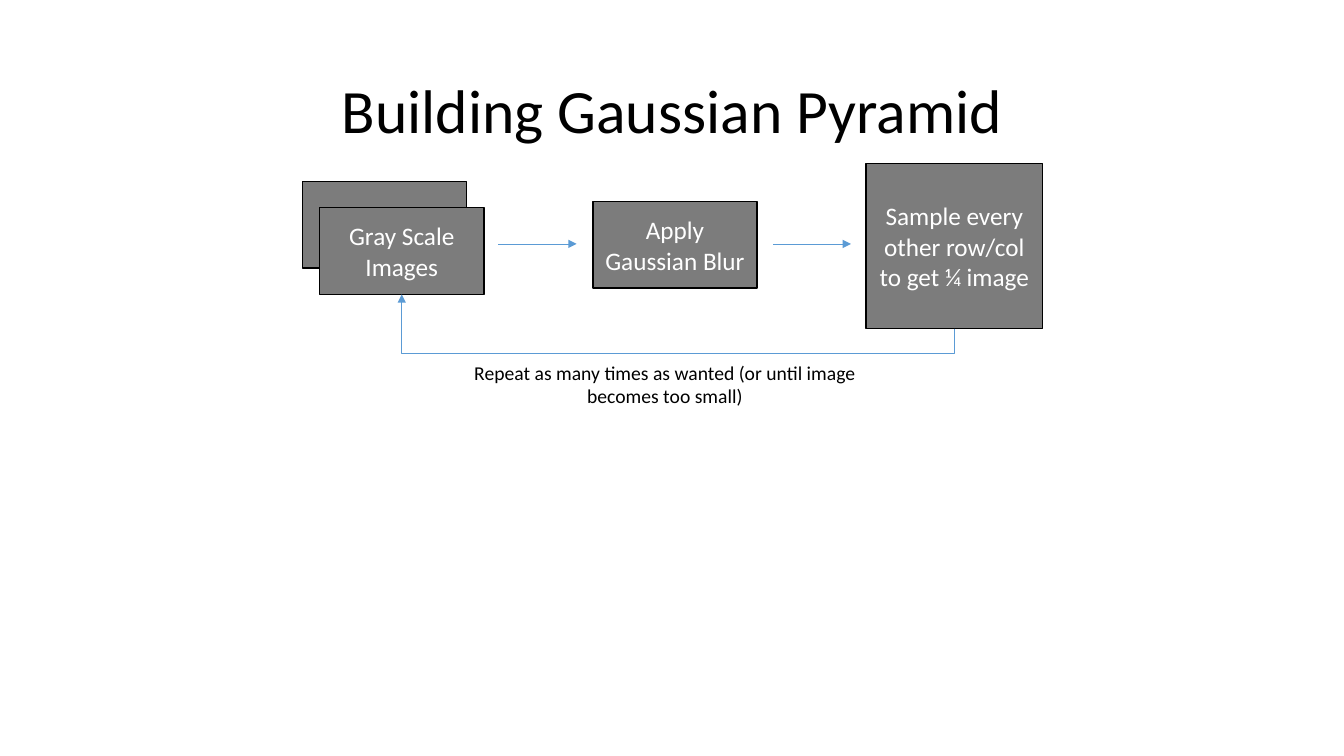
"""Build the Gaussian pyramid flow slide."""
from dataclasses import dataclass

from lxml.etree import SubElement
from pptx import Presentation
from pptx.dml.color import RGBColor
from pptx.enum.shapes import MSO_CONNECTOR, MSO_SHAPE
from pptx.enum.text import MSO_ANCHOR, PP_ALIGN
from pptx.oxml.ns import qn
from pptx.shapes.connector import Connector
from pptx.text.text import TextFrame
from pptx.util import Inches, Pt

COLORS = {"box": "7C7C7C", "edge": "000000", "arrow": "5B9BD5",
          "light": "FFFFFF", "dark": "000000"}
FONT = "Calibri"


@dataclass
class Box:
    left: float
    top: float
    text: str = ""
    width: float = 1.63
    height: float = 0.86


@dataclass
class Arrow:
    start: float
    end: float
    level: float = 2.42


def color(name: str) -> RGBColor:
    return RGBColor.from_string(COLORS[name])


def write(frame: TextFrame, text: str, size: int, tone: str) -> None:
    frame.word_wrap = True
    para = frame.paragraphs[0]
    para.alignment = PP_ALIGN.CENTER
    run = para.add_run()
    run.text = text
    run.font.name = FONT
    run.font.size = Pt(size)
    run.font.color.rgb = color(tone)


def draw_box(box: Box) -> None:
    shape = slide.shapes.add_shape(
        MSO_SHAPE.RECTANGLE, Inches(box.left), Inches(box.top),
        Inches(box.width), Inches(box.height))
    shape.shadow.inherit = False
    shape.fill.solid()
    shape.fill.fore_color.rgb = color("box")
    shape.line.color.rgb = color("edge")
    shape.line.width = Pt(1)
    if box.text:
        shape.text_frame.vertical_anchor = MSO_ANCHOR.MIDDLE
        write(shape.text_frame, box.text, 18, "light")


def link(kind: MSO_CONNECTOR, left: float, top: float,
         right: float, bottom: float) -> Connector:
    line = slide.shapes.add_connector(
        kind, Inches(left), Inches(top), Inches(right), Inches(bottom))
    line.line.color.rgb = color("arrow")
    line.line.width = Pt(0.5)
    props = line._element.spPr
    SubElement(props.find(qn("a:ln")), qn("a:tailEnd"), type="triangle")
    SubElement(props, qn("a:effectLst"))
    return line


def draw_loop(first: Box, last: Box, drop: float) -> None:
    tail = last.left + last.width / 2, last.top + last.height
    head = first.left + first.width / 2, first.top + first.height
    span, rise = tail[0] - head[0], tail[1] - head[1]
    mid, level = (tail[0] + head[0]) / 2, (tail[1] + head[1]) / 2
    line = link(MSO_CONNECTOR.ELBOW, mid - rise / 2, level - span / 2,
                mid + rise / 2, level + span / 2)
    props = line._element.spPr
    frame = props.find(qn("a:xfrm"))
    frame.set("rot", str(90 * 60000))
    frame.set("flipH", "1")
    guides = props.find(qn("a:prstGeom")).find(qn("a:avLst"))
    SubElement(guides, qn("a:gd"), name="adj1",
               fmla=f"val {round(-drop / rise * 100000)}")


deck = Presentation()
deck.slide_width, deck.slide_height = Inches(13.33), Inches(7.5)
slide = deck.slides.add_slide(deck.slide_layouts[5])

title = slide.shapes.title
title.left, title.top = Inches(0.92), Inches(0.4)
title.width, title.height = Inches(11.5), Inches(1.45)
title.text_frame.vertical_anchor = MSO_ANCHOR.MIDDLE
write(title.text_frame, "Building Gaussian Pyramid", 44, "dark")
title.text_frame.paragraphs[0].line_spacing = 0.9

gray = Box(3.17, 2.06, "Gray Scale Images")
blur = Box(5.88, 2, "Apply Gaussian Blur")
sample = Box(8.59, 1.62, "Sample every other row/col to get ¼ image",
             1.75, 1.64)
for box in (Box(3, 1.8), gray, blur, sample):
    draw_box(box)

for arrow in (Arrow(4.94, 5.72), Arrow(7.67, 8.44)):
    link(MSO_CONNECTOR.STRAIGHT, arrow.start, arrow.level,
         arrow.end, arrow.level)
draw_loop(gray, sample, 0.25)

note = slide.shapes.add_textbox(
    Inches(4.44), Inches(3.53), Inches(4.31), Inches(0.57))
write(note.text_frame,
      "Repeat as many times as wanted (or until image becomes too small)",
      14, "dark")

deck.save("out.pptx")
